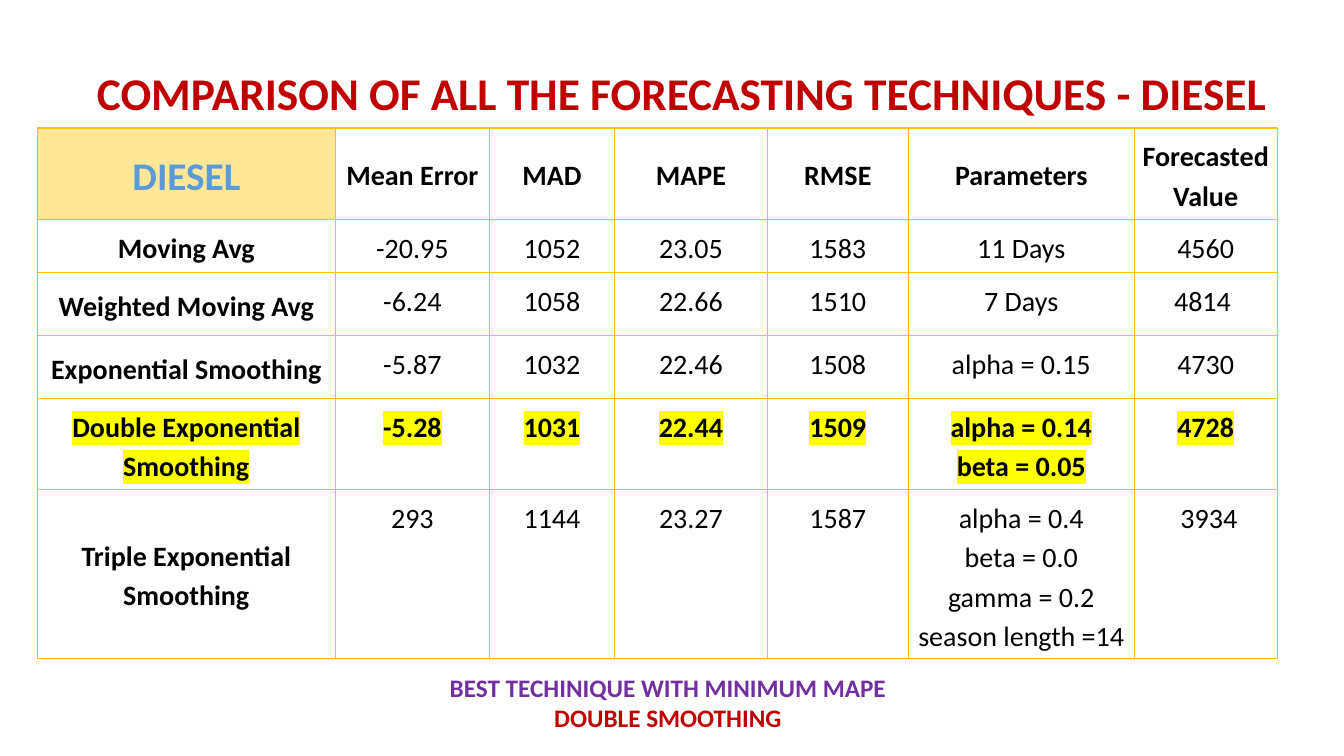
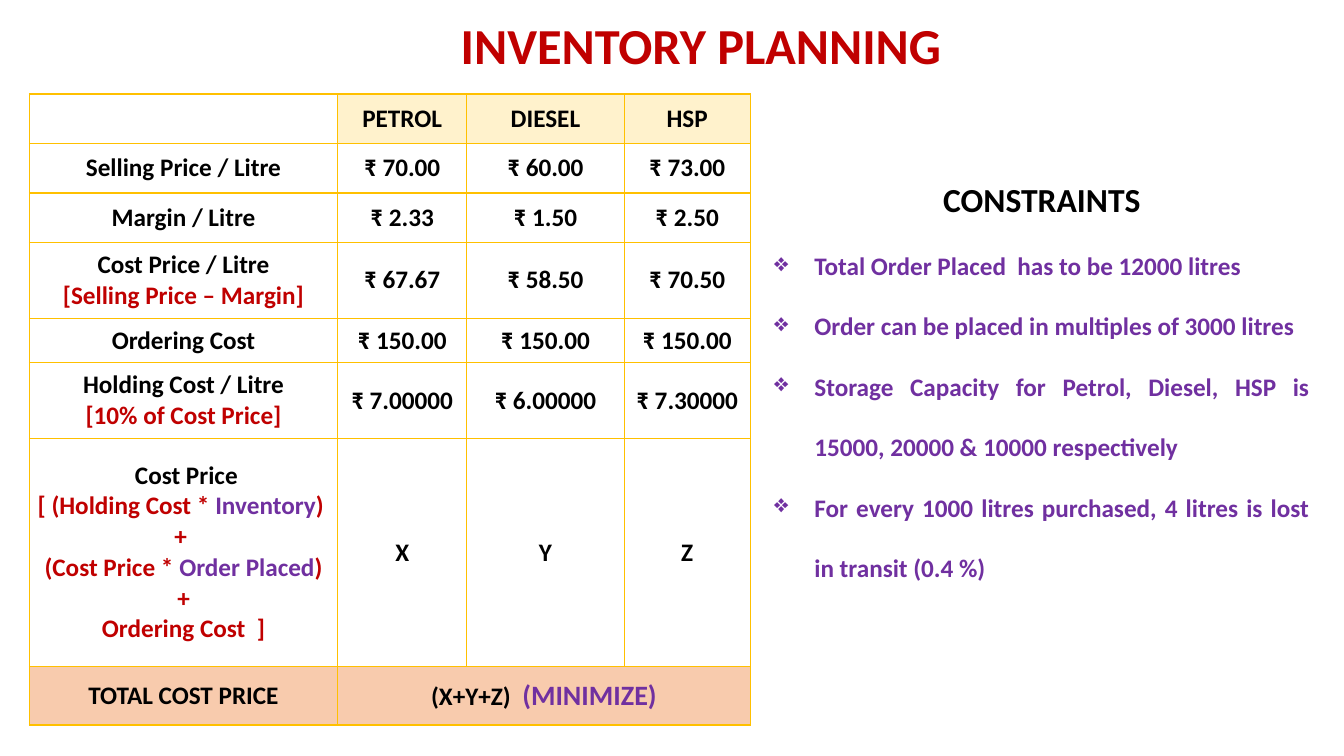
from dataclasses import dataclass

from lxml import etree
from pptx import Presentation
from pptx.dml.color import RGBColor
from pptx.enum.text import MSO_ANCHOR, PP_ALIGN
from pptx.oxml.ns import qn
from pptx.util import Pt

CENTER, JUSTIFY = PP_ALIGN.CENTER, PP_ALIGN.JUSTIFY
TOP, MIDDLE = MSO_ANCHOR.TOP, MSO_ANCHOR.MIDDLE


@dataclass(frozen=True)
class Theme:
    font: str = "Calibri"
    black: str = "000000"
    red: str = "C00000"
    purple: str = "7030A0"
    blue: str = "5B9BD5"
    gold: str = "FFC000"
    gold_fill: str = "FFE699"
    cream_fill: str = "FFF2CC"
    peach_fill: str = "F8CBAD"
    marker: str = "FFFF00"
    long_title: float = 32.4
    title: float = 36
    product: float = 28
    heading: float = 24
    table: float = 20
    body: float = 18


T = Theme()


def write(frame, lines, size=T.body, color=T.black, bold=True, align=CENTER,
          spacing=1.0, marker=None, bullet=None, first=True):
    """Write lines; a line is a string or a list of (text, color, size) runs."""
    for number, line in enumerate(lines):
        paragraph = frame.paragraphs[0] if first and number == 0 else frame.add_paragraph()
        paragraph.alignment = align
        paragraph.line_spacing = spacing
        if bullet:
            properties = paragraph._p.get_or_add_pPr()
            properties.set("marL", str(Pt(28.8)))
            properties.set("indent", str(-Pt(28.8)))
            etree.SubElement(properties, qn("a:buChar"), char=bullet)
        for text, run_color, run_size in [(line, color, size)] if isinstance(line, str) else line:
            run = paragraph.add_run()
            run.text = text
            run.font.size = Pt(run_size)
            run.font.bold = bold
            run.font.color.rgb = RGBColor.from_string(run_color)
            if marker:
                highlight = etree.Element(qn("a:highlight"))
                etree.SubElement(highlight, qn("a:srgbClr"), val=marker)
                run._r.rPr.find(qn("a:solidFill")).addnext(highlight)
            run.font.name = T.font


def add_grid(slide, left, top, widths, heights, inset):
    """Add an unfilled table with gold borders on every cell."""
    table = slide.shapes.add_table(len(heights), len(widths), Pt(left), Pt(top),
                                   Pt(sum(widths)), Pt(sum(heights))).table
    table.first_row = table.horz_banding = False
    for column, width in zip(table.columns, widths):
        column.width = Pt(width)
    for row, height in zip(table.rows, heights):
        row.height = Pt(height)
    for cell in table.iter_cells():
        cell.margin_left = cell.margin_right = Pt(inset)
        cell.margin_top = cell.margin_bottom = Pt(inset)
        properties = cell._tc.get_or_add_tcPr()
        for side in ("a:lnL", "a:lnR", "a:lnT", "a:lnB"):
            border = etree.SubElement(properties, qn(side), w=str(Pt(1)))
            fill = etree.SubElement(border, qn("a:solidFill"))
            etree.SubElement(fill, qn("a:srgbClr"), val=T.gold)
        cell.fill.background()
    return table


deck = Presentation()
deck.slide_width, deck.slide_height = Pt(960), Pt(540)
blank = deck.slide_layouts[6]
comparison = deck.slides.add_slide(blank)
inventory = deck.slides.add_slide(blank)

# Titles
for slide, title, size, anchor, box in (
    (comparison, "COMPARISON OF ALL THE FORECASTING TECHNIQUES - DIESEL",
     T.long_title, MIDDLE, (48.2, 35.3, 877.7, 61.2)),
    (inventory, "INVENTORY PLANNING", T.title, TOP, (144, 6.5, 713.5, 51)),
):
    frame = slide.shapes.add_textbox(*map(Pt, box)).text_frame
    frame.word_wrap = True
    frame.vertical_anchor = anchor
    write(frame, [title], size, T.red)

# Forecasting techniques: table
techniques = [
    ("DIESEL", "Mean Error", "MAD", "MAPE", "RMSE", "Parameters", "Forecasted\nValue"),
    ("Moving Avg", "-20.95", "1052", "23.05", "1583", "11 Days", "4560"),
    ("Weighted Moving Avg", "-6.24", "1058", "22.66", "1510", "7 Days", "4814 "),
    ("Exponential Smoothing", "-5.87", "1032", "22.46", "1508", "alpha = 0.15", "4730"),
    ("Double Exponential Smoothing", "-5.28", "1031", "22.44", "1509",
     "alpha = 0.14\nbeta = 0.05", "4728"),
    ("Triple Exponential Smoothing", "293", "1144", "23.27", "1587",
     "alpha = 0.4\nbeta = 0.0\ngamma = 0.2\nseason length =14", " 3934"),
]
best_row = 4
technique_table = add_grid(comparison, 26.6, 91.4,
                           [213, 110, 89.5, 109, 100.8, 161.3, 102.2],
                           [65, 38, 45, 45, 65, 120], 5)
for r, values in enumerate(techniques):
    for c, value in enumerate(values):
        cell = technique_table.cell(r, c)
        is_label = r == 0 or c == 0
        is_product = r == c == 0
        cell.vertical_anchor = MIDDLE if is_label else TOP
        write(cell.text_frame, value.split("\n"),
              T.product if is_product else T.table,
              T.blue if is_product else T.black,
              bold=is_label or r == best_row, spacing=1.15,
              marker=T.marker if r == best_row else None)
product_fill = technique_table.cell(0, 0).fill
product_fill.solid()
product_fill.fore_color.rgb = RGBColor.from_string(T.gold_fill)

# Forecasting techniques: conclusion
conclusion = comparison.shapes.add_textbox(Pt(218.2), Pt(476.6), Pt(517.7), Pt(51)).text_frame
conclusion.word_wrap = True
write(conclusion, [[("BEST TECHINIQUE WITH MINIMUM MAPE", T.purple, T.body)],
                   [("DOUBLE SMOOTHING", T.red, T.body)]])

# Inventory planning: price table
cost_formula = [
    " Cost Price",
    [("[ (Holding Cost * ", T.red, T.body), ("Inventory", T.purple, T.body),
     (") ", T.red, T.body)],
    [("+ ", T.red, T.body)],
    [("(Cost Price * ", T.red, T.body), ("Order Placed", T.purple, T.body),
     (")", T.red, T.body)],
    [("+", T.red, T.body)],
    [("Ordering Cost  ]", T.red, T.body)],
]
total = [[("(X+Y+Z)  ", T.black, T.body), ("(MINIMIZE)", T.purple, T.table)]]
prices = [
    ([], "PETROL", "DIESEL", "HSP"),
    (["Selling Price / Litre"], "₹ 70.00", "₹ 60.00", "₹ 73.00"),
    (["Margin / Litre"], "₹ 2.33", "₹ 1.50", "₹ 2.50"),
    (["Cost Price / Litre", [("[Selling Price – Margin]", T.red, T.body)]],
     "₹ 67.67", "₹ 58.50", "₹ 70.50"),
    (["Ordering Cost"], "₹ 150.00", "₹ 150.00", "₹ 150.00"),
    (["Holding Cost / Litre", [("[10% of Cost Price]", T.red, T.body)]],
     "₹ 7.00000", "₹ 6.00000", "₹ 7.30000"),
    (cost_formula, "X", "Y", "Z"),
    (["TOTAL COST PRICE"], total),
]
total_row = len(prices) - 1
price_table = add_grid(inventory, 21, 67.2, [220.2, 92.2, 112.5, 90],
                       [35.3, 35.3, 35.3, 54.2, 31.7, 54.2, 162.9, 41.8], 0)
price_table.cell(total_row, 1).merge(price_table.cell(total_row, 3))
for r, values in enumerate(prices):
    for c, value in enumerate(values):
        cell = price_table.cell(r, c)
        cell.vertical_anchor = MIDDLE
        write(cell.text_frame, [value] if isinstance(value, str) else value)
        if r == total_row or (r == 0 and c > 0):
            cell.fill.solid()
            cell.fill.fore_color.rgb = RGBColor.from_string(
                T.peach_fill if r == total_row else T.cream_fill)

# Inventory planning: constraints
constraints = inventory.shapes.add_textbox(Pt(545.8), Pt(95.8), Pt(396.7), Pt(326.9)).text_frame
constraints.word_wrap = True
write(constraints, ["CONSTRAINTS"], T.heading, spacing=2.0)
write(constraints, [
    "Total Order Placed  has to be 12000 litres",
    "Order can be placed in multiples of 3000 litres",
    "Storage Capacity for Petrol, Diesel, HSP is 15000, 20000 & 10000 respectively",
    "For every 1000 litres purchased, 4 litres is lost in transit (0.4 %)",
], color=T.purple, align=JUSTIFY, spacing=2.0, bullet="❖", first=False)

deck.save("out.pptx")
